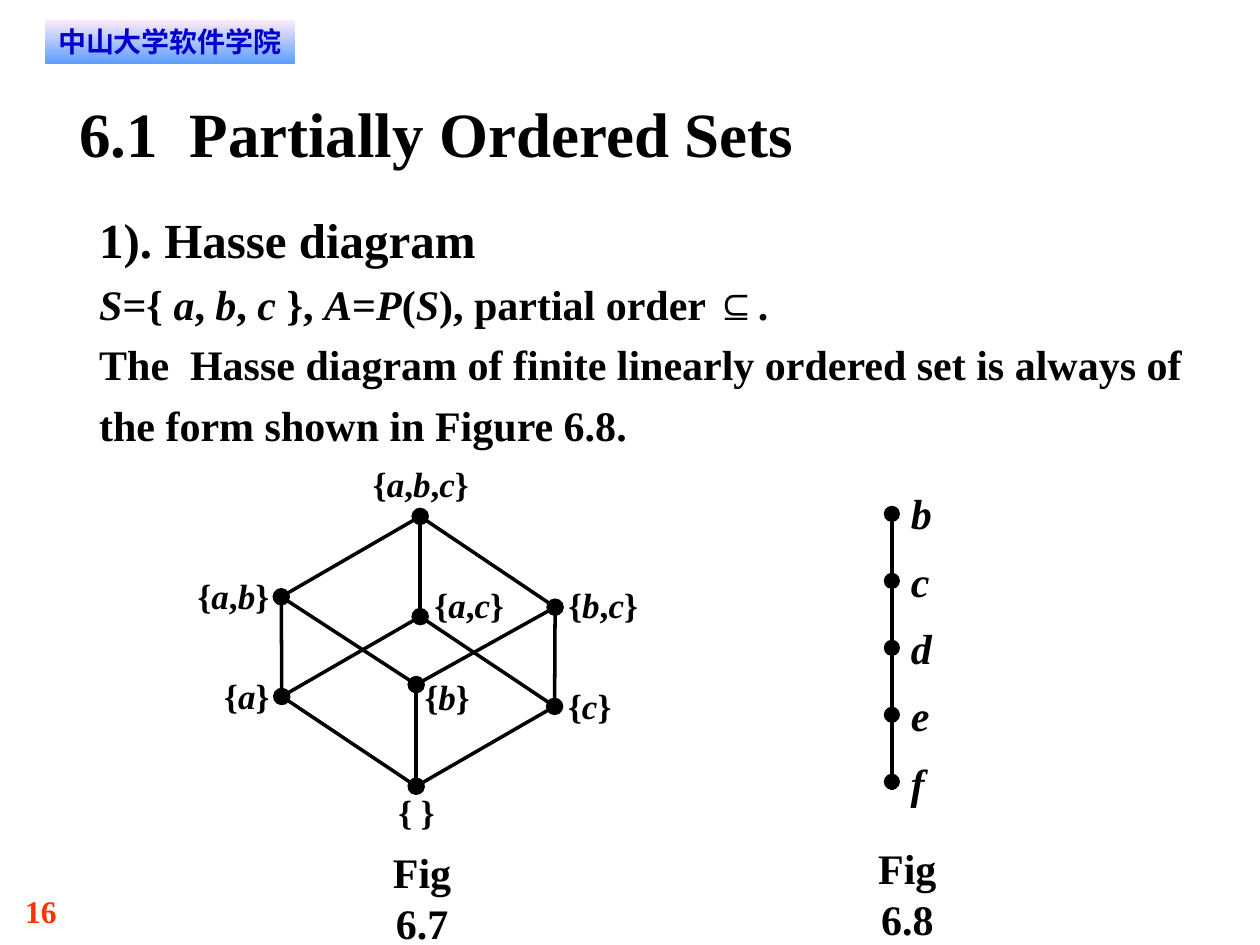
from lxml import etree
from pptx import Presentation
from pptx import util as u
from pptx.dml.color import RGBColor
from pptx.enum import shapes, text
from pptx.oxml.ns import qn

hue = RGBColor.from_string
Cm = u.Cm
LEFT, MID = text.PP_ALIGN.LEFT, text.PP_ALIGN.CENTER

deck = Presentation()
deck.slide_width, deck.slide_height = Cm(25.4), Cm(19.05)
slide = deck.slides.add_slide(deck.slide_layouts[6])
pool = slide.shapes


def write(box, lines, size, align=LEFT, color="000000", face="Times New Roman", wrap=True, pad=0):
    frame = box.text_frame
    frame.word_wrap = wrap
    frame.auto_size = text.MSO_AUTO_SIZE.SHAPE_TO_FIT_TEXT
    frame.margin_left = frame.margin_right = Cm(pad)
    frame.margin_top = frame.margin_bottom = Cm(pad / 2)
    for n, line in enumerate(lines):
        para = frame.add_paragraph() if n else frame.paragraphs[0]
        para.alignment = align
        font = para.font
        font.size, font.bold, font.name = u.Pt(size), True, face
        font.color.rgb = hue(color)
        for k, part in enumerate(line.split("*")):
            if part:
                run = para.add_run()
                run.text = part
                if k % 2:
                    run.font.italic = True
    return frame


def join(start, end, tips=""):
    line = pool.add_connector(shapes.MSO_CONNECTOR.STRAIGHT, *map(Cm, start + end))
    line.line.color.rgb = hue("000000")
    line.line.width = u.Pt(2)
    pen = line.line._get_or_add_ln()
    for tip in tips.split():
        etree.SubElement(pen, qn("a:" + tip), type="oval", w="lg", len="lg")
    etree.SubElement(line._element.spPr, qn("a:effectLst"))


num = pool.add_textbox(Cm(0.51), Cm(17.98), Cm(1.9), Cm(0.76))
write(num, ["16"], 18, color="FF3300")

badge = pool.add_shape(shapes.MSO_SHAPE.RECTANGLE, Cm(0.9), Cm(0.4), Cm(5.05), Cm(0.88))
badge.shadow.inherit = False
badge.line.fill.background()
badge.fill.gradient()
badge.fill.gradient_angle = 270
for stop, tint in zip(badge.fill.gradient_stops, ["FFEBFA", "5E9EFF"]):
    stop.color.rgb = hue(tint)
write(badge, ["中山大学软件学院"], 16, MID, "0000CC", "DejaVu Sans", pad=0.2)

title = pool.add_textbox(Cm(1.6), Cm(1.9), Cm(22.22), Cm(1.52))
write(title, ["6.1  Partially Ordered Sets"], 36)

body = pool.add_textbox(Cm(2), Cm(3.98), Cm(22.38), Cm(5.08))
frame = write(body, [
    "1). Hasse diagram",
    "*S*={ *a*, *b*, *c* }, *A*=*P*(*S*), partial order *⊆*.",
    "The  Hasse diagram of finite linearly ordered set is always of the form shown in Figure 6.8.",
], 24)
for para in frame.paragraphs:
    para.line_spacing = 1.2
frame.paragraphs[0].font.size = u.Pt(28)
sign = frame.paragraphs[1].runs[-2]
sign.font.name, sign.font.italic = "Arial", False

for name, x, y in [("Fig 6.7", 7.29, 17.07), ("Fig 6.8", 17.07, 16.99)]:
    write(pool.add_textbox(Cm(x), Cm(y), Cm(2.44), Cm(2.03)), [name], 24, MID)

join((17.98, 15.93), (17.98, 10.31))
for n, (name, wide) in enumerate(zip("bcdef", [0.43, 0.38, 0.43, 0.38, 0.28])):
    dot = pool.add_shape(shapes.MSO_SHAPE.OVAL, Cm(17.83), Cm(10.21 + 1.35 * n), Cm(0.3), Cm(0.3))
    dot.shadow.inherit = False
    dot.fill.solid()
    dot.fill.fore_color.rgb = dot.line.color.rgb = hue("000000")
    dot.line.width = u.Pt(0.75)
    tag = pool.add_textbox(Cm(18.36), Cm(9.83 + 1.36 * n), Cm(wide), Cm(1.02))
    write(tag, [f"*{name}*"], 24, MID, wrap=False)

nodes = {
    "": (8.39, 15.85), "a": (5.68, 14.04), "b": (8.39, 13.8), "c": (11.18, 14.24),
    "ab": (5.67, 12.03), "ac": (8.47, 12.43), "bc": (11.19, 12.24), "abc": (8.47, 10.41),
}
tags = [
    ("", 7.98, 15.93, 0.84), ("a", 4.47, 13.59, 1.01), ("b", 8.51, 13.61, 1.01),
    ("c", 11.41, 13.79, 0.96), ("ab", 3.92, 11.58, 1.57), ("ac", 8.71, 11.76, 1.5),
    ("bc", 11.41, 11.76, 1.5), ("abc", 7.46, 9.32, 2.05),
]
for name, x, y, wide in tags:
    label = "{" + (",".join(f"*{c}*" for c in name) or " ") + "}"
    write(pool.add_textbox(Cm(x), Cm(y), Cm(wide), Cm(0.84)), [label], 20, MID, wrap=False)

tips = {
    ("", "a"): "headEnd tailEnd", ("", "b"): "tailEnd", ("", "c"): "tailEnd",
    ("a", "ab"): "tailEnd", ("a", "ac"): "tailEnd", ("b", "bc"): "tailEnd", ("ab", "abc"): "tailEnd",
}
for low in nodes:
    for high in nodes:
        if len(high) == len(low) + 1 and set(low) < set(high):
            join(nodes[low], nodes[high], tips.get((low, high), ""))

deck.save("out.pptx")
